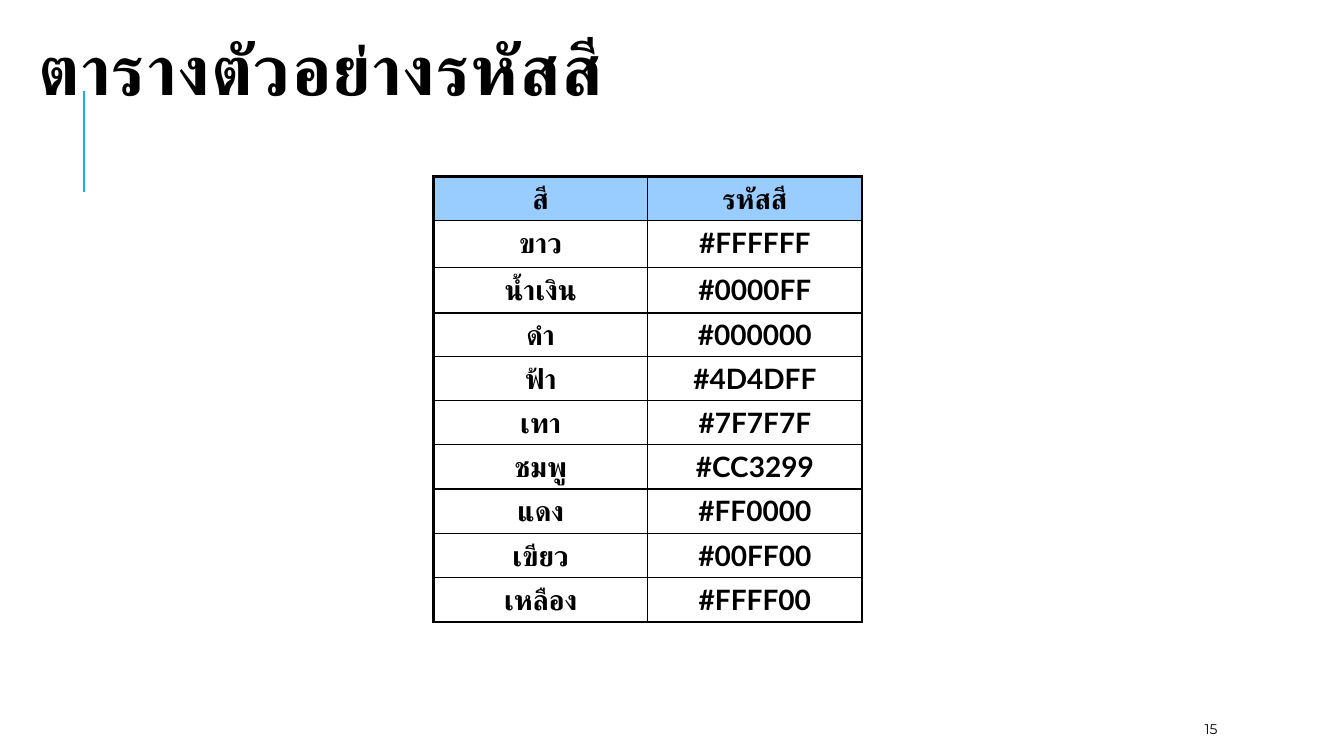
from dataclasses import dataclass

from lxml import etree
from pptx import Presentation
from pptx.dml.color import RGBColor
from pptx.enum.shapes import MSO_CONNECTOR
from pptx.enum.text import MSO_ANCHOR, MSO_AUTO_SIZE, PP_ALIGN
from pptx.oxml.ns import qn
from pptx.util import Inches, Pt

STRAIGHT = MSO_CONNECTOR.STRAIGHT
MIDDLE, TOP = MSO_ANCHOR.MIDDLE, MSO_ANCHOR.TOP
LEFT, CENTER = PP_ALIGN.LEFT, PP_ALIGN.CENTER
NO_AUTOFIT = MSO_AUTO_SIZE.NONE
TITLE_ONLY_LAYOUT = 5

COLOR_CODES = [
    ("สี", "รหัสสี"),
    ("ขาว", "#FFFFFF"),
    ("น้ำเงิน", "#0000FF"),
    ("ดำ", "#000000"),
    ("ฟ้า", "#4D4DFF"),
    ("เทา", "#7F7F7F"),
    ("ชมพู", "#CC3299"),
    ("แดง", "#FF0000"),
    ("เขียว", "#00FF00"),
    ("เหลือง", "#FFFF00"),
]
ROW_HEIGHTS = [0.43, 0.47, 0.45] + [0.43] * 3 + [0.44] * 4


@dataclass(frozen=True)
class Theme:
    title_font: str = "Arial"
    table_font: str = "Lato"
    number_font: str = "Montserrat"
    title_size: float = 50
    table_size: float = 20
    number_size: float = 10
    ink: str = "000000"
    accent: str = "1CADE4"
    header_fill: str = "99CCFF"
    accent_width: float = 1.5
    outer_border: float = 2.25
    inner_border: float = 1


class SlideBuilder:
    def __init__(self, slide, theme):
        self.slide = slide
        self.theme = theme

    def add_run(self, paragraph, text, font_name, size, bold=False):
        run = paragraph.add_run()
        run.text = text
        font = run.font
        font.name = font_name
        font.size = Pt(size)
        font.bold = bold
        font.color.rgb = RGBColor.from_string(self.theme.ink)
        properties = run._r.get_or_add_rPr()
        etree.SubElement(properties, qn("a:cs"), typeface=font_name)
        return properties

    def add_title(self, text, left, top, width, height):
        title = self.slide.shapes.title
        title.left, title.top = Inches(left), Inches(top)
        title.width, title.height = Inches(width), Inches(height)
        frame = title.text_frame
        frame.word_wrap = True
        frame.auto_size = NO_AUTOFIT
        frame.vertical_anchor = MIDDLE
        paragraph = frame.paragraphs[0]
        paragraph.alignment = LEFT
        paragraph.line_spacing = 0.8
        properties = self.add_run(
            paragraph, text, self.theme.title_font, self.theme.title_size, True
        )
        properties.set("spc", "100")

    def add_accent_line(self, left, top, bottom):
        line = self.slide.shapes.add_connector(
            STRAIGHT, Inches(left), Inches(bottom), Inches(left), Inches(top)
        )
        line.line.color.rgb = RGBColor.from_string(self.theme.accent)
        line.line.width = Pt(self.theme.accent_width)
        etree.SubElement(line.element.spPr, qn("a:effectLst"))
        self.slide.shapes.title.element.addprevious(line.element)

    def set_borders(self, cell, outer_edges):
        properties = cell._tc.get_or_add_tcPr()
        for index, (side, outer) in enumerate(outer_edges.items()):
            width = self.theme.outer_border if outer else self.theme.inner_border
            border = etree.Element(qn(f"a:ln{side}"), w=str(Pt(width)))
            fill = etree.SubElement(border, qn("a:solidFill"))
            etree.SubElement(fill, qn("a:srgbClr"), val=self.theme.ink)
            properties.insert(index, border)

    def add_table(self, rows, row_heights, left, top, width):
        row_count, column_count = len(rows), len(rows[0])
        table = self.slide.shapes.add_table(
            row_count, column_count, Inches(left), Inches(top),
            Inches(width), Inches(sum(row_heights)),
        ).table
        table.first_row = False
        table.horz_banding = False
        for row_index, values in enumerate(rows):
            table.rows[row_index].height = Inches(row_heights[row_index])
            for column_index, text in enumerate(values):
                cell = table.cell(row_index, column_index)
                cell.vertical_anchor = TOP
                if row_index == 0:
                    cell.fill.solid()
                    cell.fill.fore_color.rgb = RGBColor.from_string(
                        self.theme.header_fill
                    )
                else:
                    cell.fill.background()
                self.set_borders(cell, {
                    "L": column_index == 0,
                    "R": column_index == column_count - 1,
                    "T": row_index == 0,
                    "B": row_index == row_count - 1,
                })
                paragraph = cell.text_frame.paragraphs[0]
                paragraph.alignment = CENTER
                self.add_run(
                    paragraph, text, self.theme.table_font, self.theme.table_size, True
                )

    def add_page_number(self, text, left, top, width, height):
        box = self.slide.shapes.add_textbox(
            Inches(left), Inches(top), Inches(width), Inches(height)
        )
        frame = box.text_frame
        frame.word_wrap = True
        frame.vertical_anchor = MIDDLE
        self.add_run(
            frame.paragraphs[0], text, self.theme.number_font, self.theme.number_size
        )


def main():
    presentation = Presentation()
    presentation.slide_width = Inches(13.33)
    presentation.slide_height = Inches(7.5)
    slide = presentation.slides.add_slide(
        presentation.slide_layouts[TITLE_ONLY_LAYOUT]
    )
    builder = SlideBuilder(slide, Theme())
    builder.add_accent_line(0.83, 0.9, 1.9)
    builder.add_title("ตารางตัวอย่างรหัสสี", 0.28, 0.25, 11.69, 1)
    builder.add_table(COLOR_CODES, ROW_HEIGHTS, 4.3, 1.75, 4.25)
    builder.add_page_number("15", 11.85, 7.08, 1.06, 0.3)
    presentation.save("out.pptx")


if __name__ == "__main__":
    main()
